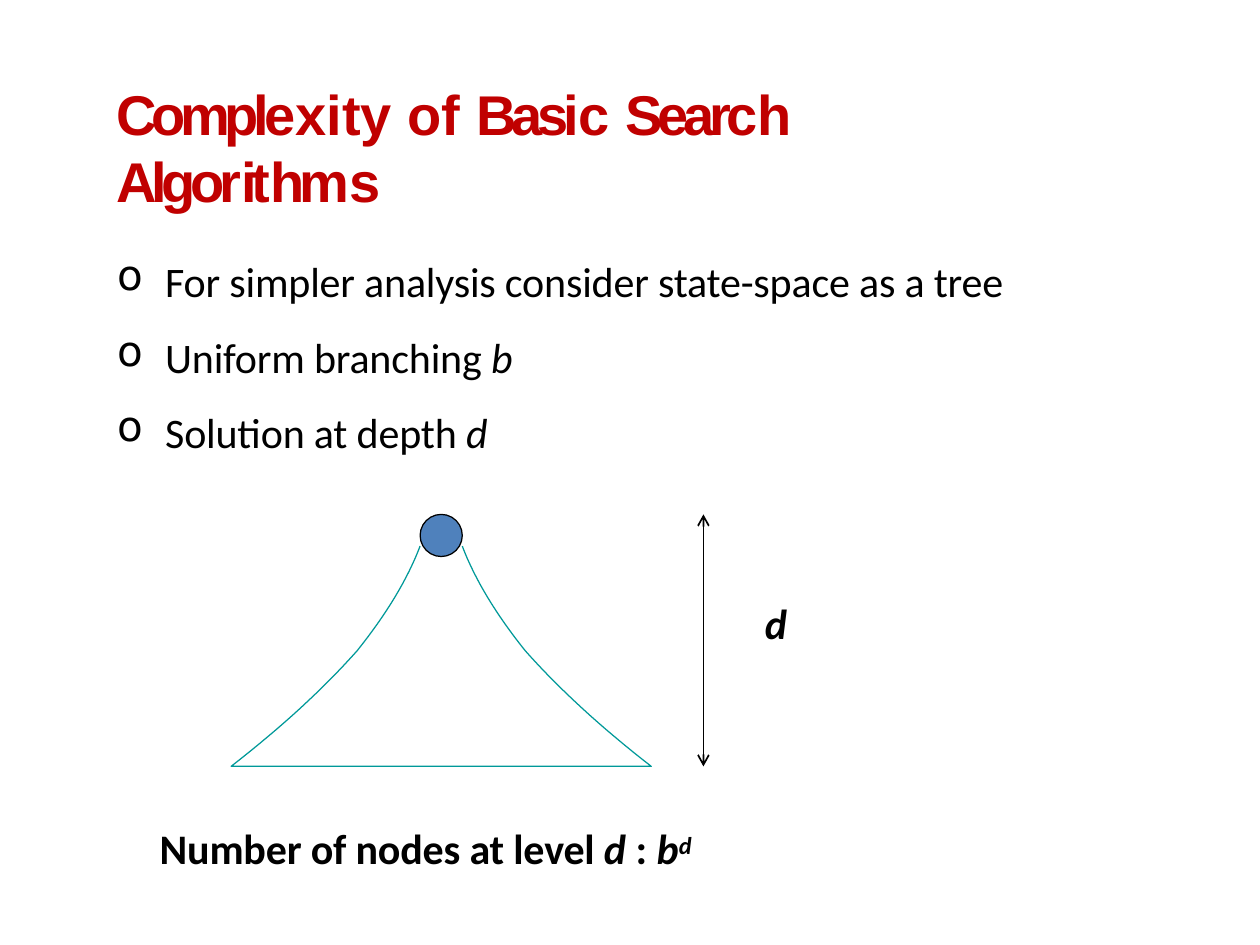
from dataclasses import dataclass

from lxml.etree import SubElement
from pptx import Presentation
from pptx.dml.color import RGBColor
from pptx.enum.shapes import MSO_CONNECTOR as Connector, MSO_SHAPE as Shape
from pptx.oxml.ns import qn
from pptx.util import Cm, Pt


@dataclass(frozen=True)
class Theme:
    heading: RGBColor = RGBColor(0xC0, 0x00, 0x00)
    ink: RGBColor = RGBColor(0x00, 0x00, 0x00)
    node: RGBColor = RGBColor(0x4F, 0x81, 0xBC)
    tree: RGBColor = RGBColor(0x00, 0x99, 0x99)
    heading_font: str = "Arial"
    body_font: str = "Calibri"
    heading_size: float = 32
    body_size: float = 24
    outline: float = 0.72
    arrow: float = 1


THEME = Theme()


def add_text_box(page, left, top, width, height, inset_top=0.03):
    """Place a wrapping text box (cm) and return its text frame."""
    box = page.shapes.add_textbox(Cm(left), Cm(top), Cm(width), Cm(height))
    frame = box.text_frame
    frame.word_wrap = True
    frame.margin_left = frame.margin_right = frame.margin_bottom = 0
    frame.margin_top = Cm(inset_top)
    return frame


def add_span(para, text, bold=False, italic=False, tracking=0, raised=0,
             font=THEME.body_font, size=THEME.body_size, color=THEME.ink):
    span = para.add_run()
    span.text = text
    span.font.name = font
    span.font.size = Pt(size)
    span.font.bold = bold
    span.font.italic = italic
    span.font.color.rgb = color
    properties = span.font._element
    if tracking:
        properties.set("spc", str(round(tracking * 100)))
    if raised:
        properties.set("baseline", str(raised * 1000))


def add_title(page, left, top, width, height):
    para = add_text_box(page, left, top, width, height).paragraphs[0]
    pieces = [("Comple", -3), ("x", -3.2), ("i", -3), ("t", -3.1), ("y ", 0),
              ("o", -3), ("f ", 0), ("Basi", -3), ("c ", 0), ("Searc", -3),
              ("h ", 0), ("Algor", -3), ("it", -3.1), ("hm", -3), ("s", 0)]
    for text, tracking in pieces:
        add_span(para, text, bold=True, tracking=tracking,
                 font=THEME.heading_font, size=THEME.heading_size,
                 color=THEME.heading)


def add_bullets(page, left, top, width, height):
    frame = add_text_box(page, left, top, width, height, inset_top=0.53)
    items = [("For simpler analysis consider state-space as a tree", ""),
             ("Uniform branching ", "b"),
             ("Solution at depth ", "d")]
    for index, (text, symbol) in enumerate(items):
        para = frame.add_paragraph() if index else frame.paragraphs[0]
        properties = para._p.get_or_add_pPr()
        properties.set("marL", str(Cm(0.99)))
        properties.set("indent", str(-Cm(0.97)))
        SubElement(properties, qn("a:buChar")).set("char", "o")
        if index:
            para.space_before = Pt(14.4)
        add_span(para, text, tracking=-0.1)
        if symbol:
            add_span(para, symbol, italic=True)


def quadratic(start, control, end, steps=16):
    """Points along a quadratic curve, both ends included."""
    points = []
    for step in range(steps + 1):
        t = step / steps
        points.append(tuple((1 - t) ** 2 * a + 2 * t * (1 - t) * b + t * t * c
                            for a, b, c in zip(start, control, end)))
    return points


def add_tree(page, left, top, width, height):
    """Root node over a flared outline; the right side mirrors the left."""
    node = 0.85
    middle = left + width / 2
    shoulder = (middle - node / 2, top + 0.64)
    bend = (left + 2.54, top + 2.75)
    corner = (left, top + height)
    side = quadratic(shoulder, (left + 3.43, top + 1.64), bend)
    side += quadratic(bend, (left + 1.52, top + 3.9), corner)[1:]
    mirrored = [(2 * middle - x, y) for x, y in reversed(side)]

    points = [(Cm(x), Cm(y)) for x, y in side + mirrored]
    builder = page.shapes.build_freeform(*points[0])
    builder.add_line_segments(points[1:], close=False)
    outline = builder.convert_to_shape()
    outline.shadow.inherit = False
    outline.fill.background()
    outline.line.color.rgb = THEME.tree
    outline.line.width = Pt(THEME.outline)

    root = page.shapes.add_shape(Shape.OVAL, Cm(middle - node / 2), Cm(top),
                                 Cm(node), Cm(node))
    root.shadow.inherit = False
    root.fill.solid()
    root.fill.fore_color.rgb = THEME.node
    root.line.color.rgb = THEME.ink
    root.line.width = Pt(THEME.outline)


def add_depth(page, left, top, width, height):
    """Double-headed depth arrow with its label on the right."""
    arrow = page.shapes.add_connector(Connector.STRAIGHT, Cm(left), Cm(top),
                                      Cm(left), Cm(top + height))
    arrow.line.color.rgb = THEME.ink
    arrow.line.width = Pt(THEME.arrow)
    line = arrow.line._get_or_add_ln()
    for end in ("a:headEnd", "a:tailEnd"):
        SubElement(line, qn(end)).set("type", "arrow")
    SubElement(arrow._element.spPr, qn("a:effectLst"))

    label = 0.51
    frame = add_text_box(page, left + width - label, top + 1.65, label, 1.09)
    add_span(frame.paragraphs[0], "d", bold=True, italic=True)


def add_node_count(page, left, top, width, height):
    para = add_text_box(page, left, top, width, height).paragraphs[0]
    para._p.get_or_add_pPr().set("marL", str(Cm(0.1)))
    add_span(para, "Number of nodes at level ", bold=True, tracking=-0.1)
    add_span(para, "d ", bold=True, italic=True)
    add_span(para, ": ", bold=True)
    add_span(para, "b", bold=True, italic=True, tracking=-0.1)
    add_span(para, "d", bold=True, italic=True, raised=24)


def main():
    deck = Presentation()
    deck.slide_width, deck.slide_height = Cm(25.4), Cm(19.05)
    page = deck.slides.add_slide(deck.slide_layouts[6])

    # Heading and assumptions
    add_title(page, 2.34, 1.57, 17.32, 1.42)
    add_bullets(page, 2.34, 4.62, 18.19, 4.65)

    # Search tree and its depth
    add_tree(page, 4.66, 10.37, 8.47, 5.08)
    add_depth(page, 14.18, 10.37, 1.75, 5.08)

    # Result
    add_node_count(page, 3.12, 16.56, 11.07, 1.09)
    deck.save("out.pptx")


if __name__ == "__main__":
    main()
